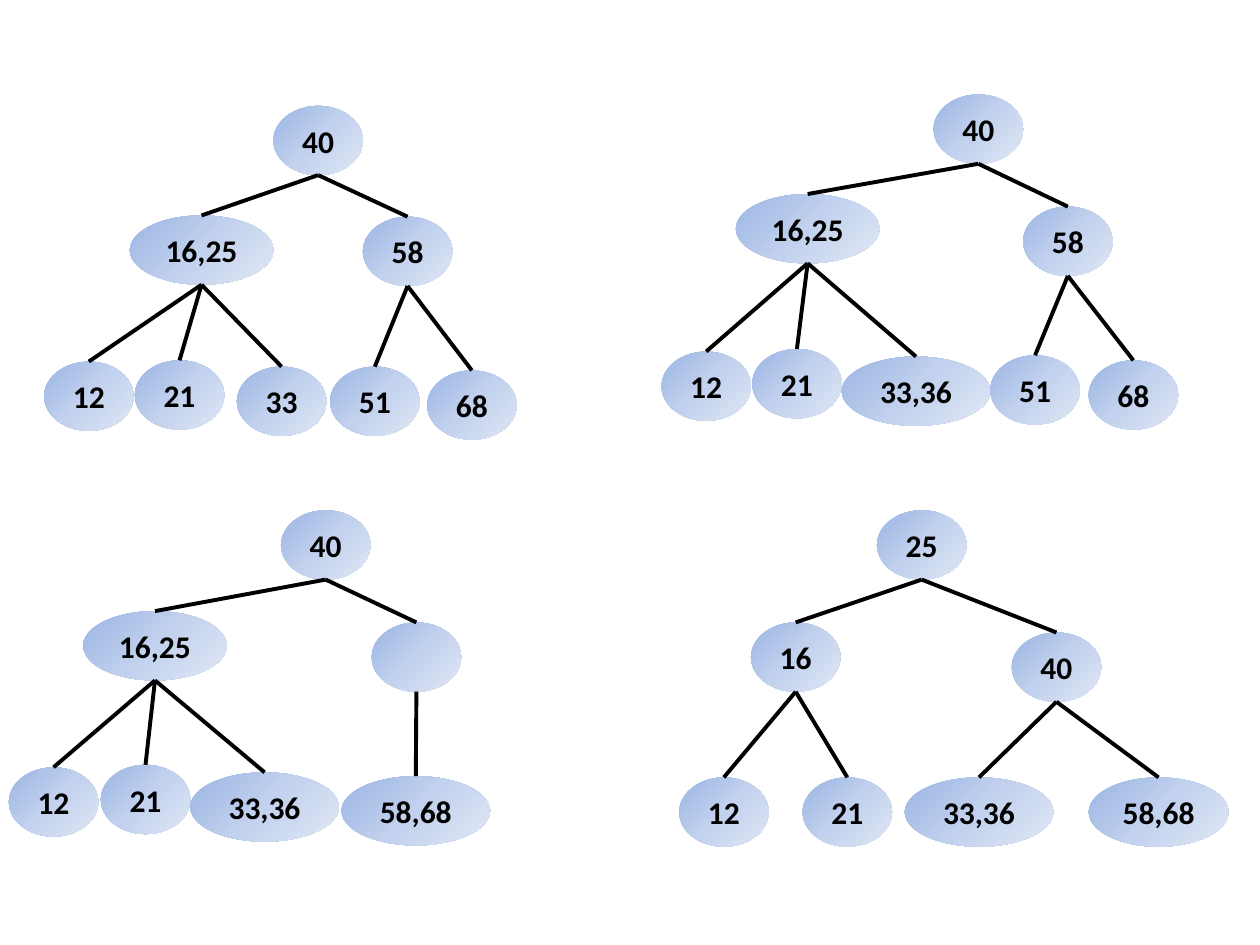
from copy import deepcopy

from pptx import Presentation
from pptx.dml.color import RGBColor
from pptx.enum import shapes, text
from pptx.oxml.ns import qn
from pptx.util import Inches, Pt

# A node is (label, left, top, width, children)
ONE, PAIR, WIDE, SLIM = 0.71, 1.14, 1.18, 1.11
HIGH = 0.55
TREES = [
    ("40", 2.17, 0.84, ONE, [
        ("16,25", 1.03, 1.71, PAIR, [
            ("12", 0.35, 2.87, ONE, []),
            ("21", 1.07, 2.86, ONE, []),
            ("33", 1.88, 2.91, ONE, [])]),
        ("58", 2.88, 1.72, ONE, [
            ("51", 2.62, 2.91, ONE, []),
            ("68", 3.39, 2.94, ONE, [])])]),
    ("40", 7.41, 0.75, ONE, [
        ("16,25", 5.84, 1.54, PAIR, [
            ("12", 5.25, 2.79, ONE, []),
            ("21", 5.97, 2.77, ONE, []),
            ("33,36", 6.68, 2.83, WIDE, [])]),
        ("58", 8.12, 1.64, ONE, [
            ("51", 7.86, 2.82, ONE, []),
            ("68", 8.64, 2.86, ONE, [])])]),
    ("40", 2.23, 4.05, ONE, [
        ("16,25", 0.66, 4.85, PAIR, [
            ("12", 0.07, 6.09, ONE, []),
            ("21", 0.8, 6.07, ONE, []),
            ("33,36", 1.51, 6.13, WIDE, [])]),
        ("", 2.95, 4.94, ONE, [
            ("58,68", 2.71, 6.16, WIDE, [])])]),
    ("25", 6.96, 4.05, ONE, [
        ("16", 5.96, 4.94, ONE, [
            ("12", 5.39, 6.17, ONE, []),
            ("21", 6.37, 6.17, ONE, [])]),
        ("40", 8.03, 5.02, ONE, [
            ("33,36", 7.18, 6.17, WIDE, []),
            ("58,68", 8.64, 6.17, SLIM, [])])]),
]
STOPS = [(0, "9AB5E4"), (0.5, "C2D1ED"), (1, "E1E8F5")]
FONT = {"name": "Calibri", "size": Pt(18), "bold": True}


def paint(color, code):
    color.rgb = RGBColor.from_string(code)


def shade(oval):
    """Fill the oval with the three-stop diagonal gradient."""
    oval.fill.gradient()
    oval.fill.gradient_angle = 315
    stops = oval._element.spPr.find(".//" + qn("a:gsLst"))
    stops.insert(1, deepcopy(stops[0]))
    for stop, (pos, code) in zip(oval.fill.gradient_stops, STOPS):
        stop.position = pos
        paint(stop.color, code)


def add_node(slide, label, left, top, width):
    oval = slide.shapes.add_shape(
        shapes.MSO_SHAPE.OVAL, *map(Inches, (left, top, width, HIGH)))
    oval.shadow.inherit = False
    oval.line.fill.background()
    shade(oval)
    if label:
        frame = oval.text_frame
        frame.word_wrap = False
        frame.vertical_anchor = text.MSO_ANCHOR.MIDDLE
        para = frame.paragraphs[0]
        para.alignment = text.PP_ALIGN.CENTER
        run = para.add_run()
        run.text = label
        for key, value in FONT.items():
            setattr(run.font, key, value)
        paint(run.font.color, "000000")
    return oval


def add_edge(slide, top, low):
    """Join the foot of one oval to the head of the next."""
    x, y = top.left + top.width // 2, top.top + top.height
    edge = slide.shapes.add_connector(shapes.MSO_CONNECTOR.STRAIGHT, x, y, x, y)
    edge.end_connect(low, 0)
    edge.line.width = Pt(2.25)
    paint(edge.line.color, "000000")
    edge._element.spPr.append(edge._element.makeelement(qn("a:effectLst"), {}))


def add_tree(slide, node):
    *place, kids = node
    oval = add_node(slide, *place)
    for kid in kids:
        add_edge(slide, oval, add_tree(slide, kid))
    return oval


def main():
    deck = Presentation()
    deck.slide_width, deck.slide_height = Inches(10), Inches(7.5)
    slide = deck.slides.add_slide(deck.slide_layouts[6])
    for tree in TREES:
        add_tree(slide, tree)
    deck.save("out.pptx")


if __name__ == "__main__":
    main()
